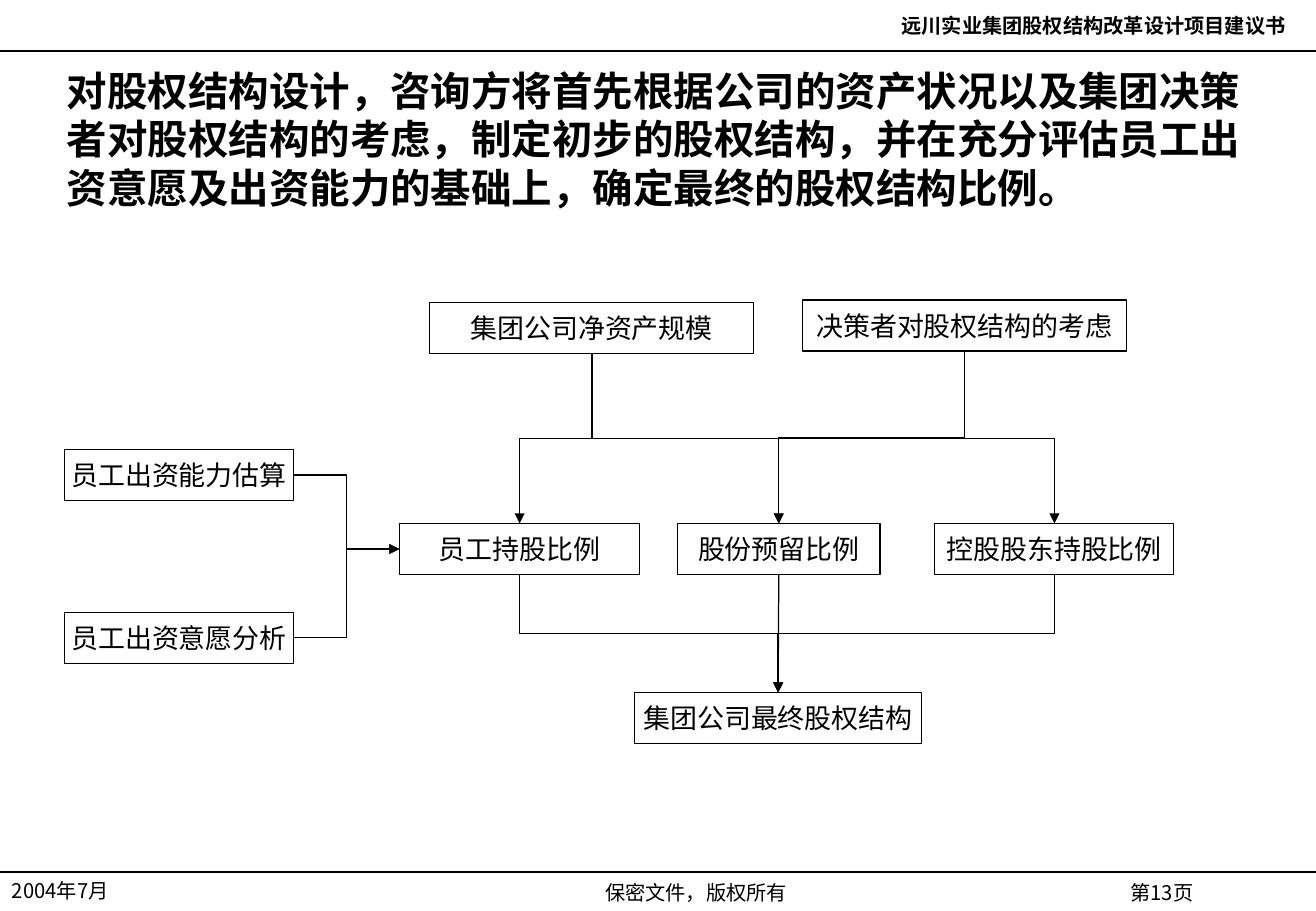
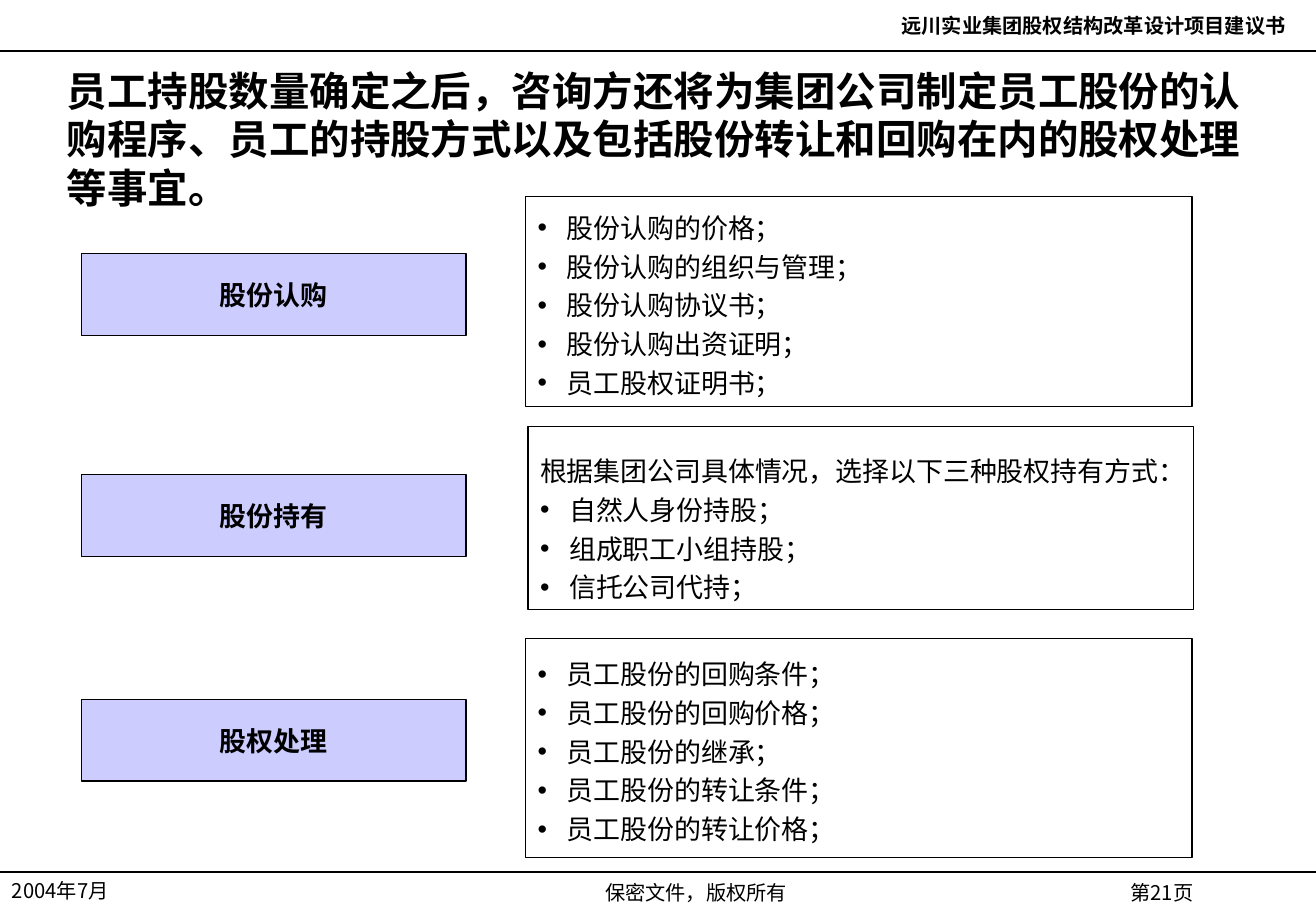
"""Build two slides on designing a group's share structure."""
from lxml import etree
from pptx import Presentation
from pptx import util as u
from pptx.dml.color import RGBColor
from pptx.enum import shapes, text
from pptx.oxml.ns import qn

PX = 9144
INK, PALE, WHITE = "000000", "CCCCFF", "FFFFFF"
SANS = "Noto Sans CJK SC"
hue = RGBColor.from_string
LEFT, MID, RIGHT = text.PP_ALIGN.LEFT, text.PP_ALIGN.CENTER, text.PP_ALIGN.RIGHT


def say(para, words, size, face=SANS, bold=False, side=LEFT, lead=1.2):
    """Write one styled run with fixed line pitch into a paragraph."""
    para.alignment = side
    para.line_spacing = u.Pt(round(size * lead, 1))
    run = para.add_run()
    run.text = words
    font = run.font
    font.name, font.size, font.bold = face, u.Pt(size), bold
    font.color.rgb = hue(INK)
    east = etree.Element(qn("a:ea"), typeface=SANS)
    font._element.find(qn("a:latin")).addnext(east)


def box(slide, at, fill=None):
    """Add a thin-lined rectangle whose text is centred vertically."""
    rect = slide.shapes.add_shape(shapes.MSO_SHAPE.RECTANGLE, *[n * PX for n in at])
    rect.shadow.inherit = False
    if fill:
        rect.fill.solid()
        rect.fill.fore_color.rgb = hue(fill)
    else:
        rect.fill.background()
    rect.line.color.rgb = hue(INK)
    rect.line.width = u.Pt(0.75)
    rect.text_frame.vertical_anchor = text.MSO_ANCHOR.MIDDLE
    return rect


deck = Presentation()
deck.slide_width, deck.slide_height = 1084 * PX, 750 * PX

heads = [
    ("第13页", "对股权结构设计，咨询方将首先根据公司的资产状况以及集团决策者对股权结构的考虑，"
     "制定初步的股权结构，并在充分评估员工出资意愿及出资能力的基础上，确定最终的股权结构比例。"),
    ("第21页", "员工持股数量确定之后，咨询方还将为集团公司制定员工股份的认购程序、"
     "员工的持股方式以及包括股份转让和回购在内的股权处理等事宜。"),
]
pages, lines, arrows = [], [], []
for number, head in heads:
    slide = deck.slides.add_slide(deck.slide_layouts[5])
    pages.append(slide)
    for y in (718, 42):
        lines.append(slide.shapes.add_connector(
            shapes.MSO_CONNECTOR.STRAIGHT, 0, y * PX, 1084 * PX, y * PX))
    for at, words, side, face, bold in [
        ((876, 720, 162, 34), number, MID, SANS, False),
        ((0, 718, 181, 30), "2004年7月", LEFT, SANS, False),
        ((690, 6, 379, 30), "远川实业集团股权结构改革设计项目建议书", RIGHT, SANS, True),
        ((280, 720, 587, 30), "保密文件，版权所有", MID, "Times New Roman", False),
    ]:
        frame = slide.shapes.add_textbox(*[n * PX for n in at]).text_frame
        frame.word_wrap = True
        say(frame.paragraphs[0], words, 12, face, bold, side)
    title = slide.shapes.title
    title.left, title.top, title.width, title.height = [n * PX for n in (45, 55, 992, 118)]
    frame = title.text_frame
    frame.word_wrap = True
    frame.auto_size = text.MSO_AUTO_SIZE.NONE
    frame.vertical_anchor = text.MSO_ANCHOR.MIDDLE
    say(frame.paragraphs[0], head, 24, "Times New Roman", True)

flow, plan = pages

nodes = {}
for key, x, y, wide, words in [
    ("asset", 354, 249, 267, "集团公司净资产规模"),
    ("view", 661, 247, 267, "决策者对股权结构的考虑"),
    ("staff", 329, 431, 198, "员工持股比例"),
    ("spare", 558, 431, 167, "股份预留比例"),
    ("owner", 770, 431, 197, "控股股东持股比例"),
    ("means", 53, 370, 189, "员工出资能力估算"),
    ("will", 53, 504, 189, "员工出资意愿分析"),
    ("final", 523, 570, 236, "集团公司最终股权结构"),
]:
    node = nodes[key] = box(flow, (x, y, wide, 42), WHITE)
    node.text_frame.word_wrap = False
    say(node.text_frame.paragraphs[0], words, 16, "Arial", side=MID)

for start, end in [
    ("asset", "staff"), ("asset", "spare"), ("asset", "owner"), ("view", "spare"),
    ("means", "staff"), ("will", "staff"),
    ("staff", "final"), ("spare", "final"), ("owner", "final"),
]:
    a, b = nodes[start], nodes[end]
    across = start in ("means", "will")
    if across:
        ax, ay = a.left + a.width, a.top + a.height // 2
        bx, by = b.left, b.top + b.height // 2
    else:
        ax, ay = a.left + a.width // 2, a.top + a.height
        bx, by = b.left + b.width // 2, b.top
    level = abs(bx - ax) < PX
    kind = shapes.MSO_CONNECTOR.STRAIGHT if level else shapes.MSO_CONNECTOR.ELBOW
    link = flow.shapes.add_connector(kind, ax, ay, bx, by)
    link.begin_connect(a, 3 if across else 2)
    link.end_connect(b, 1 if across else 0)
    if not across and not level:
        wide, high = by - ay, abs(bx - ax)
        link.left, link.top = (ax + bx - wide) // 2, (ay + by - high) // 2
        link.width, link.height = wide, high
        frame = link._element.spPr.xfrm
        frame.rot = 270.0 if bx > ax else 90.0
        frame.flipH, frame.flipV = bx > ax, False
    lines.append(link)
    arrows.append(link)

for line in lines:
    line.line.color.rgb = hue(INK)
    line.line.width = u.Pt(0.75)
    etree.SubElement(line._element.spPr, qn("a:effectLst"))
for link in arrows:
    etree.SubElement(link._element.spPr.find(qn("a:ln")), qn("a:tailEnd"), type="triangle")

for name, face, y, at, intro, items in [
    ("股份认购", SANS, 209, (433, 162, 549, 173), None,
     ["股份认购的价格；", "股份认购的组织与管理；", "股份认购协议书；",
      "股份认购出资证明；", "员工股权证明书；"]),
    ("股份持有", SANS, 391, (435, 351, 548, 151),
     "根据集团公司具体情况，选择以下三种股权持有方式：",
     ["自然人身份持股；", "组成职工小组持股；", "信托公司代持；"]),
    ("股权处理", "Times New Roman", 576, (433, 526, 549, 180), None,
     ["员工股份的回购条件；", "员工股份的回购价格；", "员工股份的继承；",
      "员工股份的转让条件；", "员工股份的转让价格；"]),
]:
    label = box(plan, (67, y, 317, 67), PALE).text_frame
    label.word_wrap = False
    say(label.paragraphs[0], name, 16, face, True, MID)
    frame = box(plan, at).text_frame
    frame.word_wrap = intro is None
    para = frame.paragraphs[0]
    if intro:
        say(para, intro, 16, lead=2)
        para = frame.add_paragraph()
    for i, item in enumerate(items):
        if i:
            para = frame.add_paragraph()
        props = para._p.get_or_add_pPr()
        props.set("marL", str(24 * PX))
        props.set("indent", str(-24 * PX))
        tint = etree.SubElement(props, qn("a:buClr"))
        etree.SubElement(tint, qn("a:srgbClr"), val=INK)
        etree.SubElement(props, qn("a:buFont"), typeface="Arial")
        etree.SubElement(props, qn("a:buChar"), char="•")
        say(para, item, 16, lead=1.44)

deck.save("out.pptx")
